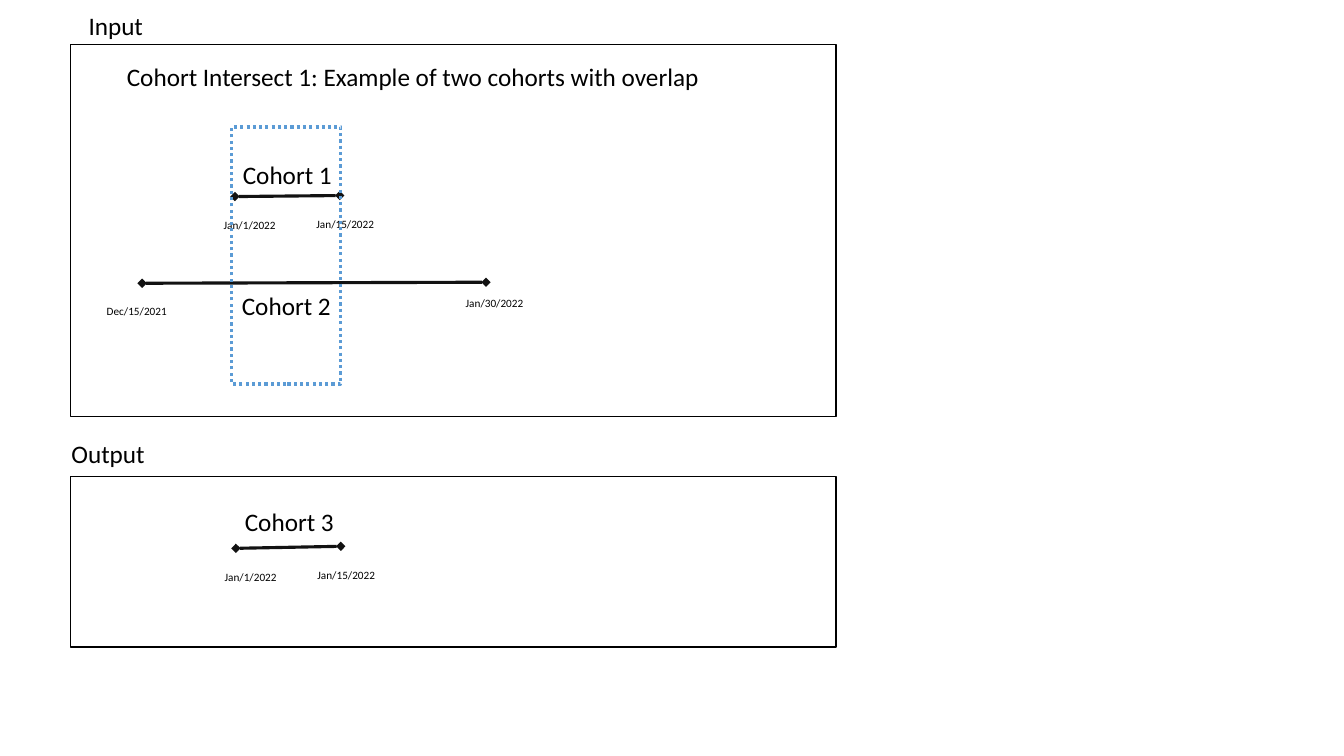
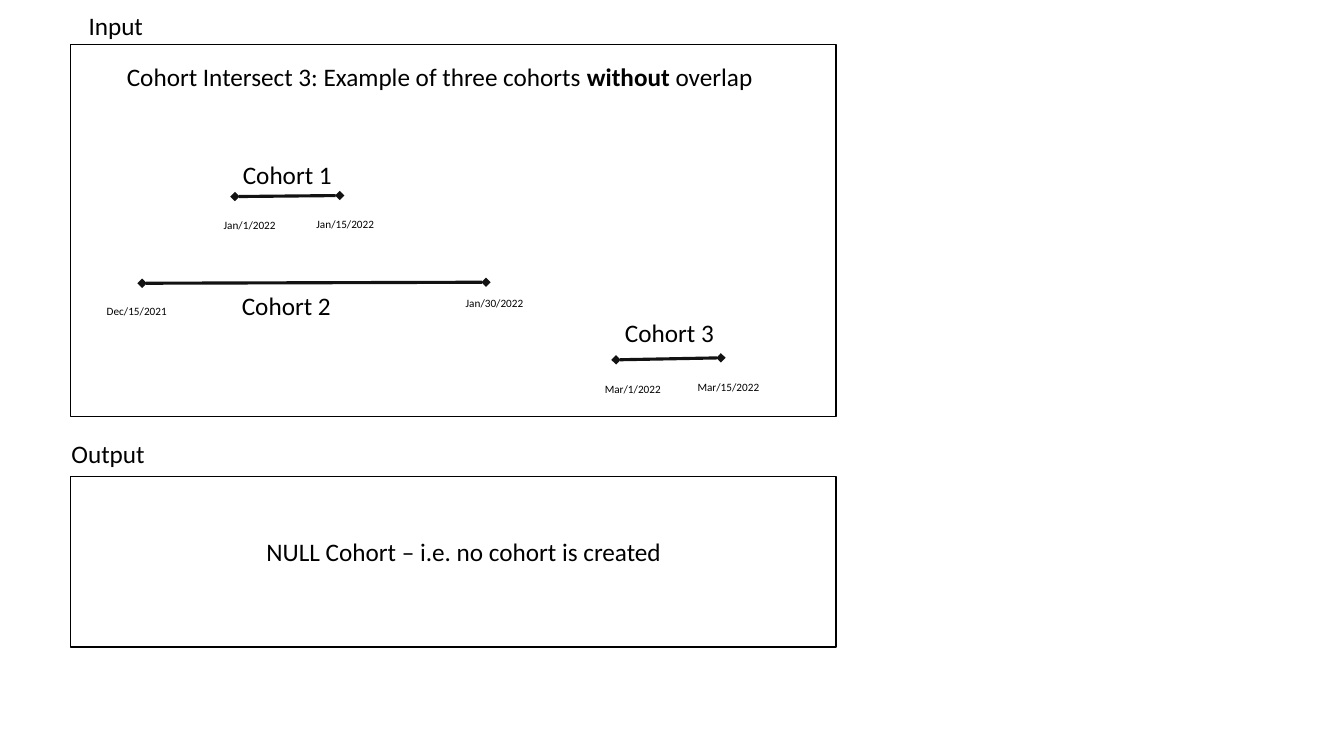
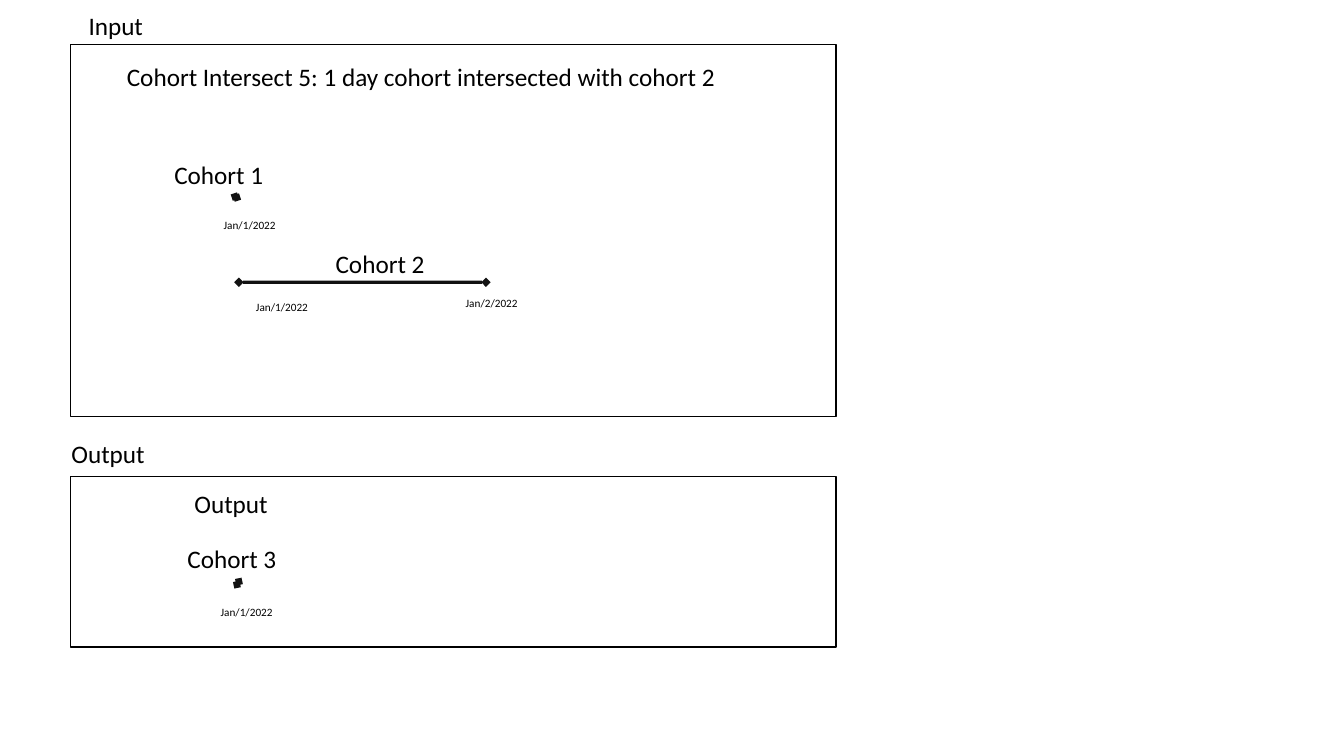
from dataclasses import dataclass

from lxml import etree
from pptx import Presentation
from pptx.dml.color import RGBColor
from pptx.enum.dml import MSO_LINE
from pptx.enum.shapes import MSO_CONNECTOR, MSO_SHAPE
from pptx.enum.text import MSO_AUTO_SIZE, PP_ALIGN
from pptx.oxml.ns import qn
from pptx.util import Inches, Pt

RECTANGLE = MSO_SHAPE.RECTANGLE
STRAIGHT = MSO_CONNECTOR.STRAIGHT
DOTTED = MSO_LINE.ROUND_DOT
GROW = MSO_AUTO_SIZE.SHAPE_TO_FIT_TEXT
LEFT, CENTER = PP_ALIGN.LEFT, PP_ALIGN.CENTER

COLORS = {"ink": "000000", "overlap": "5B9BD5"}
FONT = "Calibri"
LABEL_SIZE, DATE_SIZE = 18, 8
LABEL_HEIGHT, DATE_HEIGHT = 0.4, 0.24
LINE_OPACITY = 93

# Boxes are left, top, width, height in inches
INPUT_BOX = (0.7, 0.44, 7.59, 3.69)
OUTPUT_BOX = (0.7, 4.73, 7.59, 1.69)


@dataclass
class Cohort:
    """Timeline points relative to a panel; label offsets relative to those points."""
    name: str
    start: tuple
    end: tuple
    start_date: str
    end_date: str = ""
    name_offset: tuple = (-0.01, -0.47)
    start_offset: tuple = (-0.21, 0.17)
    end_offset: tuple = (-0.33, 0.17)
    start_width: float = 0.73
    end_width: float = 0.96


def rgb(name):
    return RGBColor.from_string(COLORS[name])


def add_label(slide, left, top, width, text, size=LABEL_SIZE, align=LEFT):
    """Add one line of text; parts between bars are bold."""
    height = DATE_HEIGHT if size == DATE_SIZE else LABEL_HEIGHT
    frame = slide.shapes.add_textbox(
        Inches(left), Inches(top), Inches(width), Inches(height)).text_frame
    frame.word_wrap = True
    frame.auto_size = GROW
    paragraph = frame.paragraphs[0]
    paragraph.alignment = align
    for index, part in enumerate(text.split("|")):
        run = paragraph.add_run()
        run.text = part
        run.font.name = FONT
        run.font.size = Pt(size)
        run.font.bold = index % 2 == 1
        run.font.color.rgb = rgb("ink")


def add_outline(slide, box, color="ink", weight=1, dash=None):
    outline = slide.shapes.add_shape(RECTANGLE, *map(Inches, box))
    outline.shadow.inherit = False
    outline.fill.background()
    outline.line.color.rgb = rgb(color)
    outline.line.width = Pt(weight)
    if dash is not None:
        outline.line.dash_style = dash


def add_diamond_line(slide, start, end):
    line = slide.shapes.add_connector(STRAIGHT, *map(Inches, start + end))
    line.line.color.rgb = rgb("ink")
    line.line.width = Pt(2.25)
    properties = line._element.spPr
    outline = properties.find(qn("a:ln"))
    color = outline.find(".//" + qn("a:srgbClr"))
    etree.SubElement(color, qn("a:alpha"), val=str(LINE_OPACITY * 1000))
    for tip in ("a:headEnd", "a:tailEnd"):
        etree.SubElement(outline, qn(tip), type="diamond")
    etree.SubElement(properties, qn("a:effectLst"))


def shift(point, offset):
    return point[0] + offset[0], point[1] + offset[1]


def add_cohort(slide, box, cohort):
    start, end = shift(box, cohort.start), shift(box, cohort.end)
    add_diamond_line(slide, start, end)
    add_label(slide, *shift(start, cohort.name_offset), 1.22, cohort.name)
    add_label(slide, *shift(start, cohort.start_offset), cohort.start_width,
              cohort.start_date, DATE_SIZE)
    if cohort.end_date:
        add_label(slide, *shift(end, cohort.end_offset), cohort.end_width,
                  cohort.end_date, DATE_SIZE)


def add_panel(slide, box, heading, heading_offset, cohorts):
    add_outline(slide, box)
    add_label(slide, *shift(box, heading_offset), 1.77, heading)
    for cohort in cohorts:
        add_cohort(slide, box, cohort)


def add_example(prs, title, title_width, inputs, outputs=()):
    slide = prs.slides.add_slide(prs.slide_layouts[6])
    add_panel(slide, INPUT_BOX, "Input", (0.08, -0.39), inputs)
    add_label(slide, *shift(INPUT_BOX, (0.46, 0.12)), title_width, title)
    add_panel(slide, OUTPUT_BOX, "Output", (-0.09, -0.43), outputs)
    return slide


def add_overlap(slide, box):
    left, top = shift(box, (1.6, 0.82))
    add_outline(slide, (left, top, 1.08, 2.55), "overlap", 2.25, DOTTED)


def main():
    prs = Presentation()
    prs.slide_width, prs.slide_height = Inches(13.33), Inches(7.5)

    early_january = Cohort("Cohort 1", (1.63, 1.51), (2.67, 1.5),
                           "Jan/1/2022", "Jan/15/2022", name_offset=(-0.02, -0.42))
    long_cohort = Cohort("Cohort 2", (0.71, 2.37), (4.12, 2.36),
                         "Dec/15/2021", "Jan/30/2022",
                         name_offset=(0.89, 0.02), start_offset=(-0.45, 0.16),
                         end_offset=(-0.3, 0.09), start_width=0.92, end_width=1.01)
    intersection = Cohort("Cohort 3", (1.64, 0.71), (2.68, 0.69),
                          "Jan/1/2022", "Jan/15/2022")
    march = Cohort("Cohort 3", (5.41, 3.13), (6.45, 3.11),
                   "Mar/1/2022", "Mar/15/2022", start_width=0.8)
    one_day = Cohort("Cohort 1", (1.63, 1.51), (1.65, 1.52), "Jan/1/2022",
                     name_offset=(-0.7, -0.42))
    two_days = Cohort("Cohort 2", (1.67, 2.36), (4.12, 2.36),
                      "Jan/1/2022", "Jan/2/2022",
                      name_offset=(0.86, -0.39), start_offset=(0.07, 0.13),
                      end_offset=(-0.3, 0.09), start_width=0.92, end_width=1.01)
    shared_day = Cohort("Cohort 3", (1.65, 1.07), (1.67, 1.04), "Jan/1/2022",
                        name_offset=(-0.59, -0.46), start_offset=(-0.26, 0.16))

    overlapping = add_example(
        prs, "Cohort Intersect 1: Example of two cohorts with overlap", 6.27,
        [early_january, long_cohort], [intersection])
    add_overlap(overlapping, INPUT_BOX)

    separate = add_example(
        prs, "Cohort Intersect 3: Example of three cohorts |without| overlap", 6.7,
        [early_january, long_cohort, march])
    add_label(separate, *shift(OUTPUT_BOX, (1.18, 0.54)), 5.44,
              "NULL Cohort – i.e. no cohort is created", align=CENTER)

    single_day = add_example(
        prs, "Cohort Intersect 5: 1 day cohort intersected with cohort 2", 6.26,
        [one_day, two_days], [shared_day])
    add_label(single_day, *shift(OUTPUT_BOX, (1.13, 0.07)), 5.6, "Output")

    prs.save("out.pptx")


if __name__ == "__main__":
    main()
